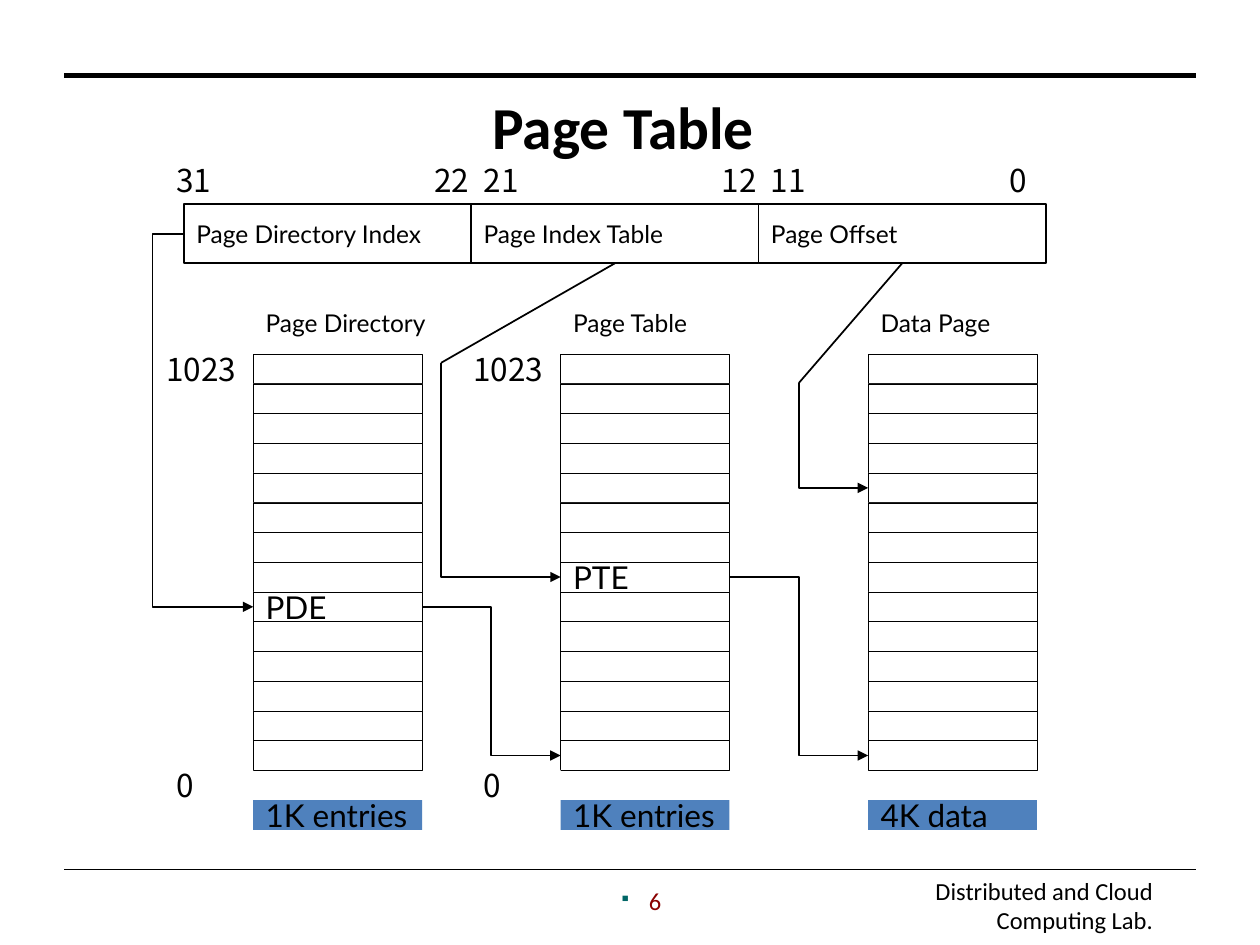
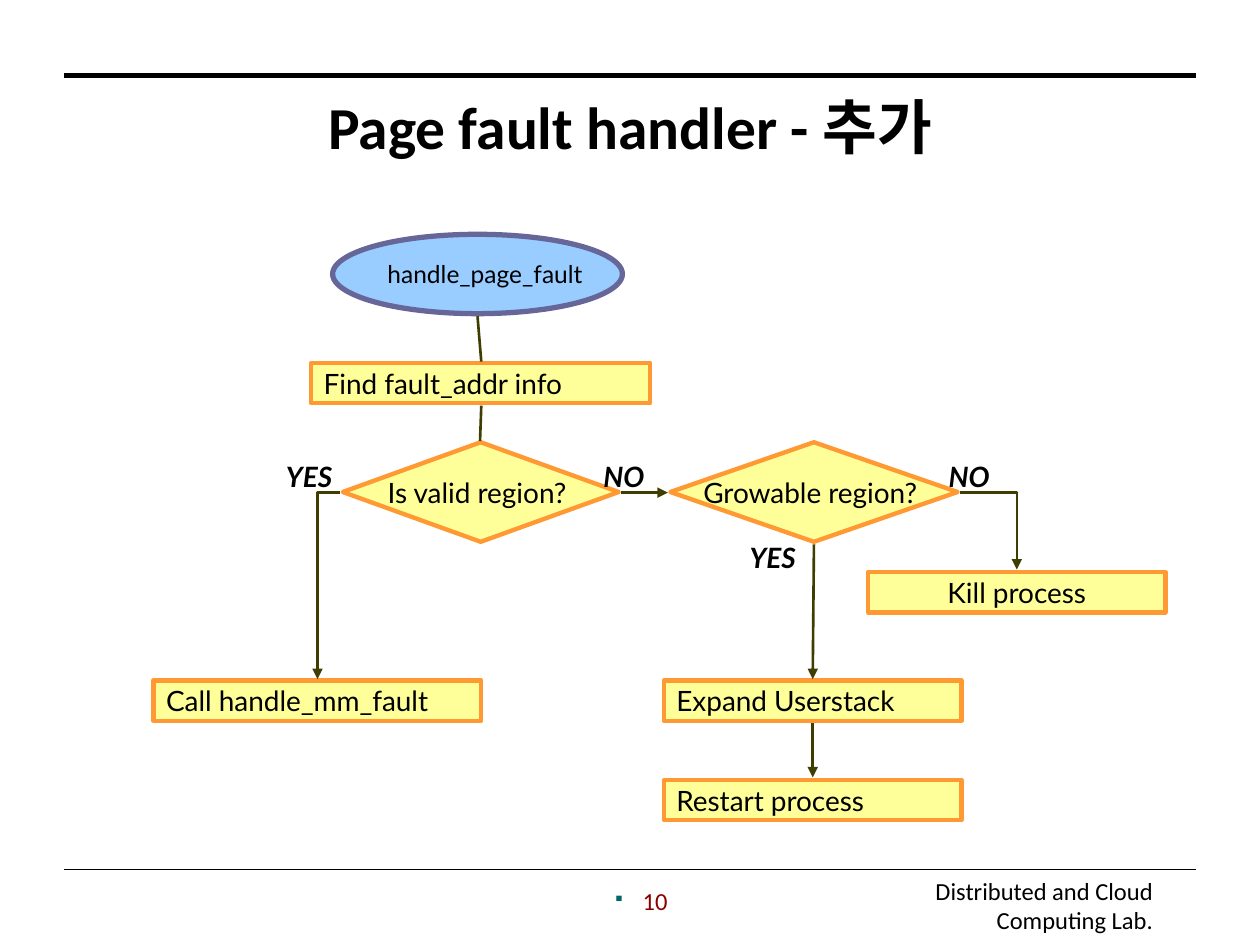
from dataclasses import dataclass

from lxml.etree import SubElement
from pptx import Presentation
from pptx.dml.color import RGBColor
from pptx.enum.shapes import MSO_CONNECTOR as LINK, MSO_SHAPE as SHAPE
from pptx.enum.text import MSO_ANCHOR as ANCHOR, PP_ALIGN as ALIGN
from pptx.oxml.ns import qn
from pptx.util import Inches, Pt


@dataclass(frozen=True)
class Theme:
    """Colours, fonts and type sizes of the deck."""
    ink: str = "000000"
    paper: str = "FFFFFF"
    entries: str = "4F81BD"
    start_fill: str = "99CCFF"
    start_line: str = "666699"
    step_fill: str = "FFFF99"
    step_line: str = "FF9933"
    flow: str = "3F3E00"
    number: str = "8A0000"
    bullet: str = "006666"
    heading: str = "Calibri"
    body: str = "Lato"
    digits: str = "Noto Sans CJK KR"
    title_size: int = 34
    large: int = 18
    medium: int = 16
    small: int = 14


THEME = Theme()
FOOTER = "Distributed and Cloud Computing Lab."

# Page table: address fields with their bit numbers, then the three columns
FIELDS = [("Page Directory Index", "31", "22"),
          ("Page Index Table", "21", "12"),
          ("Page Offset", "11", "0")]
FIELD_LEFT, FIELD_TOP, FIELD_W, FIELD_H = 1.46, 1.62, 2.28, 0.47
BIT_TOP, BIT_W = 1.31, 0.39
# caption, labelled row and its text, top index, bottom index, size note
COLUMNS = [("Page Directory", {8: "PDE"}, "1023", "0", "1K entries"),
           ("Page Table", {7: "PTE"}, "1023", "0", "1K entries"),
           ("Data Page", {}, "", "", "4K data")]
COLUMN_LEFT, COLUMN_TOP, COLUMN_STEP, COLUMN_W = 2.01, 2.81, 2.44, 1.34
ROWS, ROW_H = 14, 0.236
PDE_ROW, PTE_ROW, DATA_ROW = 8, 7, 4

# Page fault handler: text, left, top, width, alignment
STEP_H, DECISION_H = 0.32, 0.79
DECISIONS = [("Is valid region? ", 2.72, 3.51, 2.19, ALIGN.CENTER),
             ("Growable region? ", 5.32, 3.51, 2.28, ALIGN.CENTER)]
STEPS = [("Call handle_mm_fault", 1.22, 5.4, 2.6, ALIGN.LEFT),
         ("Expand Userstack", 5.27, 5.4, 2.36, ALIGN.LEFT),
         ("Kill process", 6.89, 4.54, 2.36, ALIGN.CENTER),
         ("Find fault_addr info", 2.47, 2.88, 2.69, ALIGN.LEFT),
         ("Restart process", 5.27, 6.19, 2.36, ALIGN.LEFT)]
ANSWERS = [("YES", 2.17, 3.6), ("NO", 4.69, 3.6),
           ("NO", 7.43, 3.6), ("YES", 5.85, 4.24)]
# start, end, arrowhead
FLOWS = [((3.79, 2.51), (3.82, 2.87), False),
         ((3.82, 3.22), (3.81, 3.5), False),
         ((4.93, 3.91), (5.3, 3.91), True),
         ((6.46, 4.32), (6.45, 5.39), True),
         ((6.45, 5.74), (6.45, 6.17), True)]
CORNERS = [((7.62, 3.91), (8.07, 4.52)), ((2.7, 3.91), (2.52, 5.39))]


def rgb(code):
    """Turn a hex code into a colour."""
    return RGBColor.from_string(code)


def write(item, text, size, font, align=ALIGN.LEFT, color=THEME.ink,
          bold=False, italic=False, anchor=ANCHOR.MIDDLE, wrap=True):
    """Put one styled paragraph into a shape and return it."""
    frame = item.text_frame
    frame.word_wrap, frame.vertical_anchor = wrap, anchor
    para = frame.paragraphs[0]
    para.text, para.alignment = text, align
    style = para.font
    style.name, style.size = font, Pt(size)
    style.bold, style.italic = bold, italic
    style.color.rgb = rgb(color)
    return para


def text_box(page, at, text, size, font, **style):
    """Add a wrapped text box."""
    box = page.shapes.add_textbox(*map(Inches, at))
    return write(box, text, size, font, **style)


def shape(shapes, at, text="", size=THEME.small, font=THEME.body,
          kind=SHAPE.RECTANGLE, fill=THEME.paper, line=None, weight=1,
          align=ALIGN.LEFT):
    """Add a filled preset shape with unwrapped text."""
    item = shapes.add_shape(kind, *map(Inches, at))
    item.shadow.inherit = False
    item.fill.solid()
    item.fill.fore_color.rgb = rgb(fill)
    if line:
        item.line.color.rgb = rgb(line)
        item.line.width = Pt(weight)
    else:
        item.line.fill.background()
    if text:
        write(item, text, size, font, align, wrap=False)


def connect(page, start, end, color=THEME.ink, weight=1, arrow=False,
            kind=LINK.STRAIGHT):
    """Add a connector, with an arrowhead at its end if wanted."""
    link = page.shapes.add_connector(kind, *map(Inches, start + end))
    link.line.color.rgb = rgb(color)
    link.line.width = Pt(weight)
    if arrow:
        SubElement(link.line._get_or_add_ln(), qn("a:tailEnd"), type="triangle")
    SubElement(link._element.spPr, qn("a:effectLst"))
    return link


def elbow(page, start, end, turn_x):
    """Add an arrow that runs along, turns at turn_x, and runs along again."""
    link = connect(page, start, end, arrow=True, kind=LINK.ELBOW)
    share = (turn_x - start[0]) / (end[0] - start[0])
    guides = link._element.spPr.find(qn("a:prstGeom")).get_or_add_avLst()
    SubElement(guides, qn("a:gd"), name="adj1", fmla=f"val {round(share * 100000)}")


def corner(page, start, end):
    """Add an arrow that runs along and then down."""
    link = connect(page, start, end, THEME.flow, 1.5, True, LINK.ELBOW)
    link._element.spPr.find(qn("a:prstGeom")).set("prst", "bentConnector2")


def add_bullet(para):
    """Give a paragraph a small square bullet."""
    props = para._p.get_or_add_pPr()
    props.set("marL", str(Inches(0.11)))
    props.set("indent", str(Inches(-0.22)))
    color = SubElement(props, qn("a:buClr"))
    SubElement(color, qn("a:srgbClr"), val=THEME.bullet)
    SubElement(props, qn("a:buSzPct"), val="75000")
    SubElement(props, qn("a:buFont"), typeface="Wingdings")
    SubElement(props, qn("a:buChar"), char="\u00a7")


def new_page(deck, title, number):
    """Add a page with rules, title, footer and page number."""
    page = deck.slides.add_slide(deck.slide_layouts[6])
    for y, weight in ((0.6, 2.5), (6.9, 1)):
        connect(page, (0.51, y), (9.49, y), weight=weight)
    text_box(page, (7.19, 6.9, 2.06, 0.47), FOOTER, THEME.small, THEME.heading,
             align=ALIGN.RIGHT, anchor=ANCHOR.TOP)
    text_box(page, (0.5, 0.68, 9, 0.63), title, THEME.title_size, THEME.heading,
             align=ALIGN.CENTER, bold=True)
    add_bullet(text_box(page, (3.98, 6.95, 2.33, 0.4), number, THEME.small,
                        THEME.heading, align=ALIGN.CENTER, color=THEME.number))
    return page


def column_left(column):
    """Left edge of a table column."""
    return COLUMN_LEFT + column * COLUMN_STEP


def row_middle(row):
    """Height of the middle of a table row."""
    return COLUMN_TOP + (row + 0.5) * ROW_H


def draw_fields(page):
    """Draw the three address fields and their bit numbers."""
    for index, (name, high, low) in enumerate(FIELDS):
        left = FIELD_LEFT + index * FIELD_W
        right = left + FIELD_W
        shape(page.shapes, (left, FIELD_TOP, FIELD_W, FIELD_H), name, line=THEME.ink)
        high_left = left if index else left - 0.16
        for x, bit in ((high_left, high), (right - BIT_W, low)):
            shape(page.shapes, (x, BIT_TOP, BIT_W, ROW_H), bit, THEME.large,
                  THEME.digits)


def draw_columns(page):
    """Draw the three tables with captions and size notes."""
    for column, (caption, labels, _, _, note) in enumerate(COLUMNS):
        left = column_left(column)
        rows = page.shapes.add_group_shape().shapes
        for row in range(ROWS):
            shape(rows, (left, COLUMN_TOP + row * ROW_H, COLUMN_W, ROW_H),
                  labels.get(row, ""), THEME.large, line=THEME.ink, weight=0.25)
        shape(page.shapes, (left, 2.41, COLUMN_W, 0.31), caption)
        shape(page.shapes, (left, 6.35, COLUMN_W, ROW_H), note, THEME.large,
              fill=THEME.entries)


def draw_indexes(page):
    """Write the first and last index beside each table that has them."""
    for column, (_, _, top, bottom, _) in enumerate(COLUMNS):
        left = column_left(column)
        for text, gap, y in ((top, 0.79, COLUMN_TOP), (bottom, 0.71, 6.11)):
            if text:
                shape(page.shapes, (left - gap, y, 0.71, ROW_H), text,
                      THEME.large, THEME.digits)


def draw_lookups(page):
    """Draw the arrows from fields to rows and from table to table."""
    elbow(page, (FIELD_LEFT, FIELD_TOP + FIELD_H / 2),
          (column_left(0), row_middle(PDE_ROW)), 1.21)
    for column, bend, row in ((1, (3.5, 2.88), PTE_ROW), (2, (6.34, 3.04), DATA_ROW)):
        middle = FIELD_LEFT + (column + 0.5) * FIELD_W
        connect(page, (middle, FIELD_TOP + FIELD_H), bend)
        elbow(page, bend, (column_left(column), row_middle(row)), bend[0])
    for column, row in enumerate((PDE_ROW, PTE_ROW)):
        start = column_left(column) + COLUMN_W
        end = column_left(column + 1)
        elbow(page, (start, row_middle(row)), (end, row_middle(ROWS - 1)),
              (start + end) / 2)


def page_table(deck):
    """Build the address translation page."""
    page = new_page(deck, "Page Table ", "6")
    draw_fields(page)
    draw_columns(page)
    draw_lookups(page)
    draw_indexes(page)


def fault_handler(deck):
    """Build the flow chart page."""
    page = new_page(deck, "Page fault handler - 추가", "10")
    shape(page.shapes, (2.64, 1.86, 2.3, 0.63), "handle_page_fault",
          kind=SHAPE.OVAL, fill=THEME.start_fill, line=THEME.start_line, weight=3)
    for nodes, kind, height in ((DECISIONS, SHAPE.FLOWCHART_DECISION, DECISION_H),
                                (STEPS, SHAPE.FLOWCHART_PROCESS, STEP_H)):
        for text, left, top, width, align in nodes:
            shape(page.shapes, (left, top, width, height), text, THEME.medium,
                  kind=kind, fill=THEME.step_fill, line=THEME.step_line,
                  weight=2.5, align=align)
    for start, end, arrow in FLOWS:
        connect(page, start, end, THEME.flow, 1.5, arrow)
    for start, end in CORNERS:
        corner(page, start, end)
    for text, left, top in ANSWERS:
        text_box(page, (left, top, 0.71, 0.37), text, THEME.medium, THEME.body,
                 bold=True, italic=True, anchor=ANCHOR.TOP)


deck = Presentation()
deck.slide_width, deck.slide_height = Inches(10), Inches(7.5)
page_table(deck)
fault_handler(deck)
deck.save("out.pptx")
